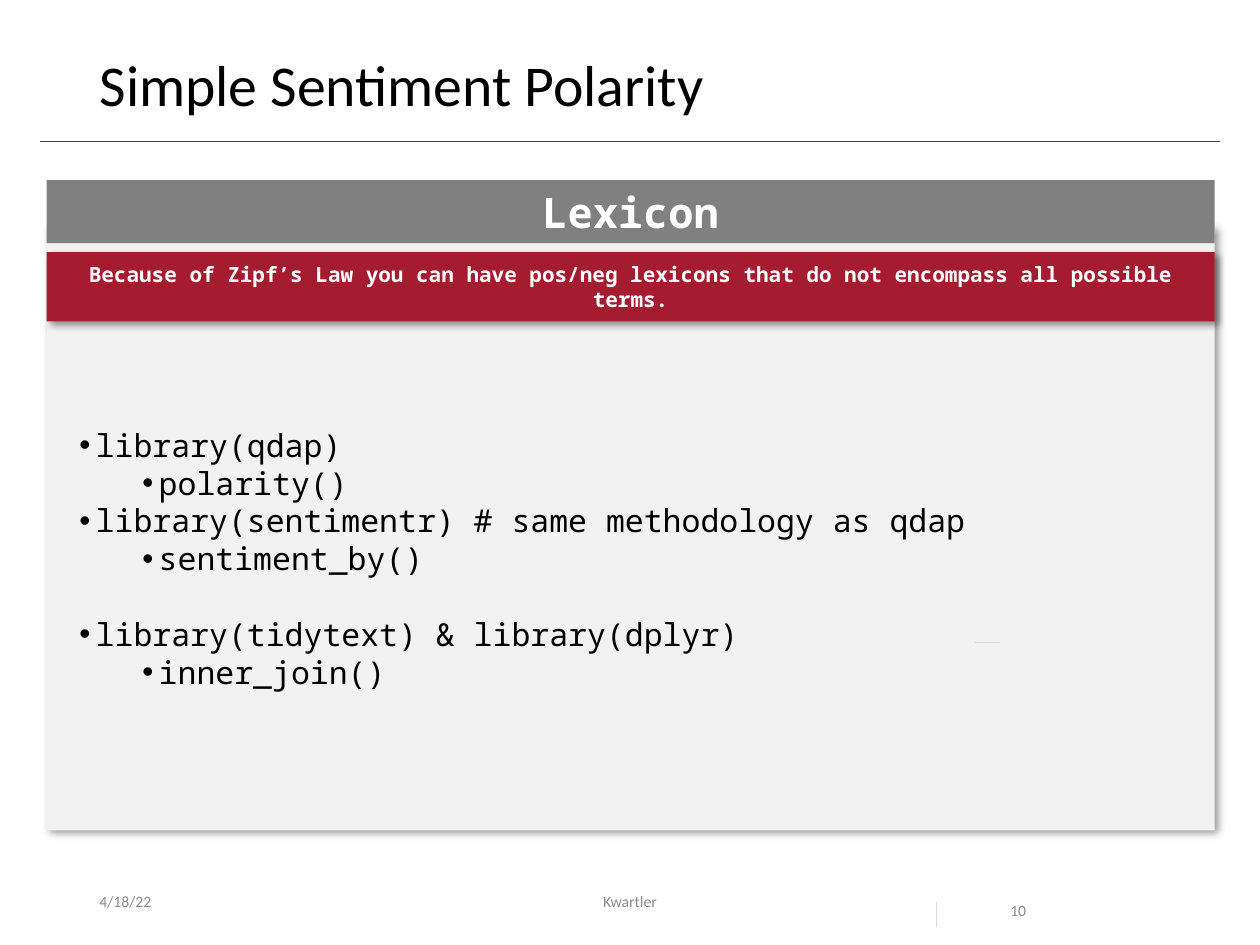
from dataclasses import dataclass

from lxml import etree
from pptx import Presentation
from pptx.dml.color import RGBColor
from pptx.enum.shapes import MSO_CONNECTOR, MSO_SHAPE
from pptx.enum.text import MSO_ANCHOR, MSO_AUTO_SIZE, PP_ALIGN
from pptx.oxml.ns import qn
from pptx.util import Emu, Inches, Pt

RECTANGLE = MSO_SHAPE.RECTANGLE
STRAIGHT = MSO_CONNECTOR.STRAIGHT
TOP, MIDDLE = MSO_ANCHOR.TOP, MSO_ANCHOR.MIDDLE
LEFT, CENTER = PP_ALIGN.LEFT, PP_ALIGN.CENTER
NO_FIT, GROW = MSO_AUTO_SIZE.NONE, MSO_AUTO_SIZE.SHAPE_TO_FIT_TEXT


@dataclass(frozen=True)
class Theme:
    ink: str = "000000"
    white: str = "FFFFFF"
    crimson: str = "A51C30"
    header: str = "808080"
    panel: str = "F2F2F2"
    footer: str = "8C8C8C"
    title_rule: str = "404040"
    faint_rule: str = "D9D9D9"
    sans: str = "Calibri"
    mono: str = "Noto Sans Mono"
    title_size: float = 33
    header_size: float = 24
    list_size: float = 18
    note_size: float = 12
    footer_size: float = 9


@dataclass(frozen=True)
class Band:
    top: float
    height: float
    fill: str
    text: str = ""
    size: float = 0
    shadow: bool = False


@dataclass(frozen=True)
class Rule:
    x1: float
    y1: float
    x2: float
    y2: float
    color: str


@dataclass(frozen=True)
class FooterItem:
    left: float
    width: float
    text: str
    align: PP_ALIGN = LEFT
    spacing: float = 1


@dataclass(frozen=True)
class Bullet:
    text: str
    level: int = 0
    gap: float = 0


THEME = Theme()
BAND_LEFT, BAND_WIDTH = 0.37, 9.27
FOOTER_TOP, FOOTER_HEIGHT = 6.95, 0.4

PANEL = Band(1.79, 4.8, THEME.panel, shadow=True)
HEADER = Band(1.43, 0.5, THEME.header, "Lexicon", THEME.header_size)
NOTE = Band(
    2, 0.55, THEME.crimson,
    "Because of Zipf’s Law you can have pos/neg lexicons that do not encompass all possible terms.",
    THEME.note_size, True,
)
TITLE_RULE = Rule(0.32, 1.12, 9.68, 1.12, THEME.title_rule)
FAINT_RULES = [
    Rule(7.43, 7.16, 7.43, 7.36, THEME.faint_rule),
    Rule(7.74, 5.1, 7.94, 5.1, THEME.faint_rule),
]
FOOTER = [
    FooterItem(0.69, 2.25, "4/18/22"),
    FooterItem(3.31, 3.38, "Kwartler", CENTER),
    FooterItem(7.92, 0.94, "10", spacing=2),
]
LIBRARIES = [
    Bullet("library(qdap)"),
    Bullet("polarity()", 1),
    Bullet("library(sentimentr) # same methodology as qdap"),
    Bullet("sentiment_by()", 1),
    Bullet("library(tidytext) & library(dplyr)", gap=21.6),
    Bullet("inner_join()", 1),
]


def add_run(paragraph, text: str, face: str, size: float, color: str, bold: bool = False) -> None:
    run = paragraph.add_run()
    run.text = text
    run.font.name = face
    run.font.size = Pt(size)
    run.font.bold = bold
    run.font.color.rgb = RGBColor.from_string(color)


def place(shape, left: float, top: float, width: float, height: float) -> None:
    shape.left, shape.top = Inches(left), Inches(top)
    shape.width, shape.height = Inches(width), Inches(height)


def add_shadow(shape) -> None:
    effects = shape._element.spPr.find(qn("a:effectLst"))
    shadow = etree.SubElement(
        effects, qn("a:outerShdw"), blurRad=str(Pt(4)), dist=str(Pt(3)),
        dir=str(45 * 60000), algn="tl", rotWithShape="0",
    )
    color = etree.SubElement(shadow, qn("a:srgbClr"), val=THEME.ink)
    etree.SubElement(color, qn("a:alpha"), val="40000")


def add_band(slide, band: Band) -> None:
    shape = slide.shapes.add_shape(
        RECTANGLE, Inches(BAND_LEFT), Inches(band.top), Inches(BAND_WIDTH), Inches(band.height)
    )
    shape.fill.solid()
    shape.fill.fore_color.rgb = RGBColor.from_string(band.fill)
    shape.line.fill.background()
    shape.shadow.inherit = False
    if band.shadow:
        add_shadow(shape)
    if band.text:
        frame = shape.text_frame
        frame.word_wrap = True
        frame.vertical_anchor = MIDDLE
        frame.paragraphs[0].alignment = CENTER
        add_run(frame.paragraphs[0], band.text, THEME.mono, band.size, THEME.white, True)


def add_rule(slide, rule: Rule) -> None:
    line = slide.shapes.add_connector(
        STRAIGHT, Inches(rule.x1), Inches(rule.y1), Inches(rule.x2), Inches(rule.y2)
    )
    line.line.color.rgb = RGBColor.from_string(rule.color)
    line.line.width = Pt(0.5)
    etree.SubElement(line._element.spPr, qn("a:effectLst"))


def add_footer_item(slide, item: FooterItem) -> None:
    box = slide.shapes.add_textbox(
        Inches(item.left), Inches(FOOTER_TOP), Inches(item.width), Inches(FOOTER_HEIGHT)
    )
    frame = box.text_frame
    frame.word_wrap = True
    frame.vertical_anchor = MIDDLE
    paragraph = frame.paragraphs[0]
    paragraph.alignment = item.align
    paragraph.line_spacing = float(item.spacing)
    add_run(paragraph, item.text, THEME.sans, THEME.footer_size, THEME.footer)


def fill_title(title) -> None:
    place(title, 0.69, 0.4, 8.62, 0.65)
    frame = title.text_frame
    frame.auto_size = NO_FIT
    frame.vertical_anchor = TOP
    paragraph = frame.paragraphs[0]
    paragraph.alignment = LEFT
    paragraph.line_spacing = 0.9
    add_run(paragraph, "Simple Sentiment Polarity", THEME.sans, THEME.title_size, THEME.ink)


def fill_list(body, bullets: list[Bullet]) -> None:
    place(body, 0.53, 3.33, 8.62, 2.22)
    frame = body.text_frame
    frame.auto_size = GROW
    frame.vertical_anchor = TOP
    for index, bullet in enumerate(bullets):
        paragraph = frame.add_paragraph() if index else frame.paragraphs[0]
        paragraph.level = bullet.level
        paragraph.space_before = Pt(bullet.gap)
        properties = paragraph._p.get_or_add_pPr()
        properties.set("marL", str(Emu(Inches(0.13 + 0.5 * bullet.level))))
        properties.set("indent", str(Emu(Inches(-0.13))))
        etree.SubElement(properties, qn("a:buFont"), typeface="Arial")
        etree.SubElement(properties, qn("a:buChar"), char="•")
        add_run(paragraph, bullet.text, THEME.mono, THEME.list_size, THEME.ink)


def main() -> None:
    deck = Presentation()
    deck.slide_width, deck.slide_height = Inches(10), Inches(7.5)
    slide = deck.slides.add_slide(deck.slide_layouts[1])
    title, libraries = slide.placeholders[0], slide.placeholders[1]
    fill_title(title)
    fill_list(libraries, LIBRARIES)
    add_rule(slide, TITLE_RULE)
    for item in FOOTER:
        add_footer_item(slide, item)
    add_band(slide, PANEL)
    add_band(slide, HEADER)
    slide.shapes._spTree.append(libraries._element)
    add_band(slide, NOTE)
    for rule in FAINT_RULES:
        add_rule(slide, rule)
    deck.save("out.pptx")


if __name__ == "__main__":
    main()
